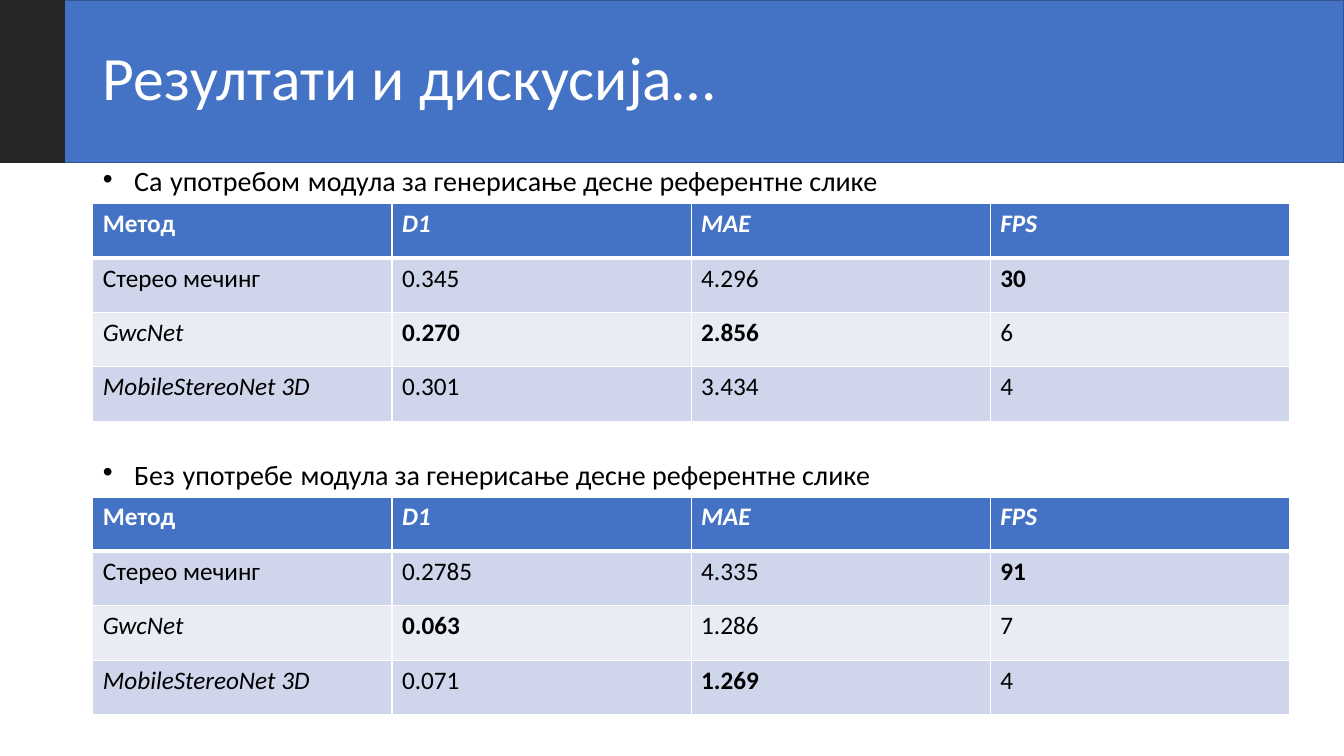
"""Build the results slide with two method comparison tables."""
import pptx
import pptx.dml.color
import pptx.enum.shapes
import pptx.enum.text
import pptx.oxml
import pptx.oxml.ns
import pptx.util
from pptx.util import Inches

WHITE = pptx.dml.color.RGBColor(0xFF, 0xFF, 0xFF)
BLACK = pptx.dml.color.RGBColor(0x00, 0x00, 0x00)
BLUE = pptx.dml.color.RGBColor(0x44, 0x72, 0xC4)
DARK_BLUE = pptx.dml.color.RGBColor(0x32, 0x54, 0x91)
CHARCOAL = pptx.dml.color.RGBColor(0x26, 0x26, 0x26)
BAND_DARK = pptx.dml.color.RGBColor(0xCF, 0xD5, 0xEA)
BAND_LIGHT = pptx.dml.color.RGBColor(0xE9, 0xEB, 0xF5)

FONT = "Calibri"
LEFT = Inches(0.92)
TEXT_WIDTH = Inches(11.5)
BANNER_HEIGHT = Inches(1.61)
ROW_HEIGHT = Inches(0.54)
HEADER = ("Метод", "D1", "MAE", "FPS")
METHODS = ("Стерео мечинг", "GwcNet", "MobileStereoNet 3D")
CAPTION_END = "модула за генерисање десне референтне слике"
SECTIONS = (
    (1.52, ("Са", "употребом", CAPTION_END),
     (("0.345", "4.296", "30"), ("0.270", "2.856", "6"), ("0.301", "3.434", "4"))),
    (4.43, ("Без", "употребе", CAPTION_END),
     (("0.2785", "4.335", "91"), ("0.063", "1.286", "7"), ("0.071", "1.269", "4"))),
)


def format_font(font, size, color, bold=False, italic=False):
    """Apply typeface, size, colour and emphasis."""
    font.name, font.size = FONT, pptx.util.Pt(size)
    font.bold, font.italic = bold, italic
    font.color.rgb = color


def place(shape, left, top, width, height):
    """Set the position and size of a shape."""
    shape.left, shape.top, shape.width, shape.height = left, top, width, height


def add_rectangle(slide, width, fill, line):
    """Add a banner-high rectangle at the top left corner."""
    shape = slide.shapes.add_shape(
        pptx.enum.shapes.MSO_SHAPE.RECTANGLE, 0, 0, width, BANNER_HEIGHT)
    shape.shadow.inherit = False
    shape.fill.solid()
    shape.fill.fore_color.rgb = fill
    shape.line.color.rgb = line
    shape.line.width = pptx.util.Pt(1)
    return shape


def set_title(title, text):
    """Fill and format the title placeholder."""
    place(title, LEFT, Inches(0.07), TEXT_WIDTH, Inches(1.45))
    frame = title.text_frame
    frame.text = text
    frame.vertical_anchor = pptx.enum.text.MSO_ANCHOR.MIDDLE
    paragraph = frame.paragraphs[0]
    paragraph.alignment = pptx.enum.text.PP_ALIGN.LEFT
    paragraph.line_spacing = 0.9
    format_font(paragraph.runs[0].font, 44, WHITE)


def set_caption(placeholder, top, parts):
    """Fill a body placeholder with one bullet whose first gaps are larger."""
    place(placeholder, LEFT, top, TEXT_WIDTH, Inches(0.5))
    frame = placeholder.text_frame
    frame.auto_size = pptx.enum.text.MSO_AUTO_SIZE.SHAPE_TO_FIT_TEXT
    paragraph = frame.paragraphs[0]
    properties = paragraph._p.get_or_add_pPr()
    properties.set("marL", str(Inches(0.31)))
    properties.set("indent", str(-Inches(0.31)))
    namespace = pptx.oxml.ns.nsdecls("a")
    properties.append(pptx.oxml.parse_xml(f'<a:buFont {namespace} typeface="Arial"/>'))
    properties.append(pptx.oxml.parse_xml(f'<a:buChar {namespace} char="•"/>'))
    paragraph.space_before = pptx.util.Pt(0)
    for index, part in enumerate(parts):
        pieces = ((" ", 24), (part, 20)) if index else ((part, 20),)
        for text, size in pieces:
            run = paragraph.add_run()
            run.text = text
            format_font(run.font, size, BLACK)


def set_borders(cell, row):
    """Draw white cell borders, thicker beneath the header row."""
    widths = {"L": 1, "R": 1, "T": 3 if row == 1 else 1, "B": 3 if row == 0 else 1}
    for side, width in widths.items():
        cell._tc.get_or_add_tcPr().append(pptx.oxml.parse_xml(
            f'<a:ln{side} {pptx.oxml.ns.nsdecls("a")} w="{pptx.util.Pt(width)}">'
            f'<a:solidFill><a:srgbClr val="{WHITE}"/></a:solidFill></a:ln{side}>'))


def set_cell(cell, row, column, text, best):
    """Fill and format one table cell."""
    set_borders(cell, row)
    cell.fill.solid()
    cell.fill.fore_color.rgb = BLUE if row == 0 else BAND_DARK if row % 2 else BAND_LIGHT
    cell.text = text
    label = row == 0 or column == 0
    format_font(cell.text_frame.paragraphs[0].runs[0].font, 18,
                WHITE if row == 0 else BLACK, bold=row == 0 or best,
                italic=label and text.isascii())


def add_results_table(slide, top, results):
    """Add a table that emphasises the lowest errors and the highest speed."""
    errors, absolute_errors, speeds = zip(*results)
    best = (None, min(errors, key=float), min(absolute_errors, key=float),
            max(speeds, key=float))
    rows = [HEADER] + [(method, *values) for method, values in zip(METHODS, results)]
    table = slide.shapes.add_table(
        len(rows), len(HEADER), LEFT, top, Inches(11.87), ROW_HEIGHT * len(rows)).table
    for row, values in enumerate(rows):
        table.rows[row].height = ROW_HEIGHT
        for column, text in enumerate(values):
            set_cell(table.cell(row, column), row, column, text, text == best[column])


def main():
    """Build and save the presentation."""
    presentation = pptx.Presentation()
    presentation.slide_width, presentation.slide_height = Inches(13.33), Inches(7.5)
    slide = presentation.slides.add_slide(presentation.slide_layouts[3])
    banner = add_rectangle(slide, presentation.slide_width, BLUE, DARK_BLUE)
    slide.shapes.title._element.addprevious(banner._element)
    set_title(slide.shapes.title, "Резултати и дискусија…")
    for index, (top, caption, results) in enumerate(SECTIONS, start=1):
        set_caption(slide.placeholders[index], Inches(top), caption)
        add_results_table(slide, Inches(top + 0.5), results)
    add_rectangle(slide, Inches(0.64), CHARCOAL, CHARCOAL)
    presentation.save("out.pptx")


if __name__ == "__main__":
    main()
